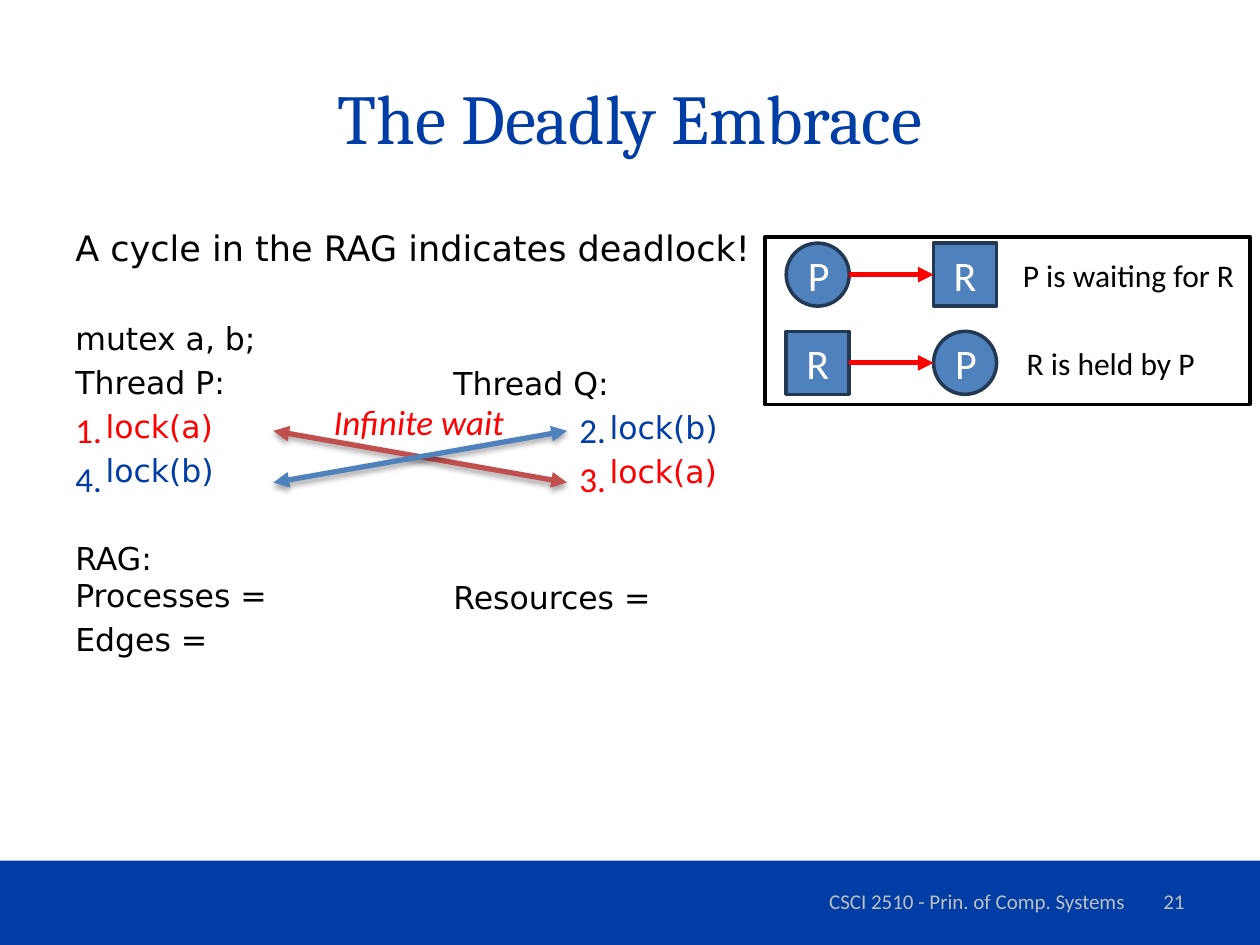
from lxml.etree import SubElement
from pptx import Presentation
from pptx.dml.color import RGBColor
from pptx.enum.shapes import MSO_CONNECTOR as Link, MSO_SHAPE as Preset
from pptx.enum.text import MSO_ANCHOR as Anchor, MSO_AUTO_SIZE as Fit, PP_ALIGN as Align
from pptx.oxml.ns import qn
from pptx.util import Inches, Pt

NAVY = RGBColor(0x00, 0x3D, 0xA5)
RED = RGBColor(0xFF, 0x00, 0x00)
BLACK = RGBColor(0x00, 0x00, 0x00)
WHITE = RGBColor(0xFF, 0xFF, 0xFF)
SILVER = RGBColor(0xBF, 0xBF, 0xBF)
STEEL = RGBColor(0x4F, 0x81, 0xBD)
STEEL_DARK = RGBColor(0x23, 0x39, 0x53)
BRICK = RGBColor(0xC0, 0x50, 0x4D)

CELL = Inches(0.1)
COLUMNS, ROWS = 100, 75
LINE_HEIGHT, LINE_GAP, BLOCK_GAP = 21.7, 3.5, 28.7


def grid(*cells):
    """Turn columns and rows of the slide grid into lengths."""
    return [round(cell * CELL) for cell in cells]


def add_span(para, text, font, size, color, italic=False):
    """Add one formatted run to a paragraph."""
    span = para.add_run()
    span.text = text
    span.font.name, span.font.size = font, Pt(size)
    span.font.color.rgb = color
    span.font.italic = italic


def add_box(shapes, area, wrap=True, anchor=Anchor.TOP):
    """Add an empty text box and return its text frame."""
    frame = shapes.add_textbox(*grid(*area)).text_frame
    frame.word_wrap = wrap
    frame.auto_size = Fit.NONE if wrap else Fit.SHAPE_TO_FIT_TEXT
    frame.vertical_anchor = anchor
    return frame


def add_label(shapes, area, text, size, color, font="Calibri", align=Align.LEFT, wrap=False, italic=False):
    """Add a one-line label, centred vertically if it wraps."""
    frame = add_box(shapes, area, wrap, Anchor.MIDDLE if wrap else Anchor.TOP)
    para = frame.paragraphs[0]
    para.alignment = align
    add_span(para, text, font, size, color, italic)


def add_block(shapes, preset, area, fill, line=None, text=""):
    """Add a filled preset shape with an optional outline and letter."""
    block = shapes.add_shape(preset, *grid(*area))
    block.shadow.inherit = False
    block.fill.solid()
    block.fill.fore_color.rgb = fill
    if line is None:
        block.line.fill.background()
    else:
        block.line.color.rgb, block.line.width = line, Pt(2)
    if text:
        block.text_frame.vertical_anchor = Anchor.MIDDLE
        para = block.text_frame.paragraphs[0]
        para.alignment = Align.CENTER
        add_span(para, text, "Calibri", 24, WHITE)


def add_arrow(shapes, start, end, color, double=False):
    """Add an arrow; a double one has two heads and a soft shadow."""
    arrow = shapes.add_connector(Link.STRAIGHT, *grid(*start, *end))
    arrow.line.color.rgb, arrow.line.width = color, Pt(3)
    outline = arrow.line._get_or_add_ln()
    for head in ("a:headEnd", "a:tailEnd") if double else ("a:tailEnd",):
        SubElement(outline, qn(head), type="triangle")
    effects = SubElement(arrow._element.spPr, qn("a:effectLst"))
    if double:
        shadow = SubElement(effects, qn("a:outerShdw"), blurRad=str(Pt(3.1)), dist=str(Pt(1.8)),
                            dir="5400000", rotWithShape="0")
        tint = SubElement(shadow, qn("a:srgbClr"), val="000000")
        SubElement(tint, qn("a:alpha"), val="35000")


def add_lines(page, area, lines):
    """Add a text column from (gap, indent, size, color, text) lines."""
    frame = add_box(page.shapes, area)
    for number, (gap, indent, size, color, text) in enumerate(lines):
        para = frame.add_paragraph() if number else frame.paragraphs[0]
        properties = para._p.get_or_add_pPr()
        properties.set("marL", str(*grid(indent)))
        properties.set("indent", "0")
        para.space_before = Pt(gap)
        for part, words in enumerate(text.split("\n")):
            if part:
                para.add_line_break()
            add_span(para, words, "DejaVu Sans", size, color)


def add_body(page):
    """Add both threads' code and the graph's parts in two columns."""
    add_lines(page, (5, 17.5, 90, 49.5), [
        (0, 0, 20, BLACK, "A cycle in the RAG indicates deadlock!"),
        (BLOCK_GAP, 0, 18, BLACK, "mutex a, b;"),
        (LINE_GAP, 0, 18, BLACK, "Thread P:"),
        (LINE_GAP, 2.4, 18, RED, "lock(a)"),
        (LINE_GAP, 2.4, 18, NAVY, "lock(b)"),
        (BLOCK_GAP, 0, 18, BLACK, "RAG:\nProcesses ="),
        (LINE_GAP, 0, 18, BLACK, "Edges ="),
    ])
    add_lines(page, (35, 28.4, 25, 21), [
        (0, 0, 18, BLACK, "Thread Q:"),
        (LINE_GAP, 12.4, 18, NAVY, "lock(b)"),
        (LINE_GAP, 12.4, 18, RED, "lock(a)"),
        (BLOCK_GAP + LINE_HEIGHT, 0, 18, BLACK, "Resources ="),
    ])


def add_steps(page, left, steps):
    """Add a column of step numbers beside one thread's code."""
    frame = add_box(page.shapes, (left, 31.4, 4.1, 8.6), wrap=False)
    for number, (text, color) in enumerate(steps):
        para = frame.add_paragraph() if number else frame.paragraphs[0]
        para.line_spacing = Pt(28)
        add_span(para, text, "Calibri", 20, color)


def add_legend(page):
    """Add the framed key to the two kinds of edge."""
    shapes = page.shapes.add_group_shape().shapes
    add_block(shapes, Preset.RECTANGLE, (60.7, 18.8, 38.5, 13.3), WHITE, BLACK)
    outlines = {"P": Preset.OVAL, "R": Preset.RECTANGLE}
    lefts, side = (62.4, 74.1), 5
    entries = [("PR", "P is waiting for R", 80.2, 19), ("RP", "R is held by P", 80.5, 15.5)]
    for row, (letters, meaning, left, width) in enumerate(entries):
        top = 19.3 + 7 * row
        middle = top + side / 2
        for letter, column in zip(letters, lefts):
            add_block(shapes, outlines[letter], (column, top, side, side), STEEL, STEEL_DARK, letter)
        add_arrow(shapes, (lefts[0] + side, middle), (lefts[1], middle), RED)
        add_label(shapes, (left, top + 0.5, width, 4), meaning, 18, BLACK)


def main():
    """Build the deadlock slide and save it."""
    deck = Presentation()
    deck.slide_width, deck.slide_height = grid(COLUMNS, ROWS)
    page = deck.slides.add_slide(deck.slide_layouts[6])
    shapes = page.shapes
    add_block(shapes, Preset.RECTANGLE, (0, 68.3, COLUMNS, 6.7), NAVY)
    add_label(shapes, (5, 3, 90, 12.5), "The Deadly Embrace", 40, NAVY, "Cambria", Align.CENTER, wrap=True)
    add_body(page)
    add_label(shapes, (61.7, 69.5, 31.7, 4), "CSCI 2510 - Prin. of Comp. Systems", 12, SILVER,
              align=Align.CENTER, wrap=True)
    add_label(shapes, (71.7, 69.5, 23.3, 4), "21", 12, SILVER, align=Align.RIGHT, wrap=True)
    upper, lower = 34.2, 38.3
    for color, start, end in ((BRICK, upper, lower), (STEEL, lower, upper)):
        add_arrow(shapes, (21.7, start), (45, end), color, double=True)
    add_label(shapes, (25.5, 31.3, 15.7, 4.4), "Infinite wait", 20, RED, italic=True)
    add_steps(page, 5, [("1.", RED), ("4.", NAVY)])
    add_steps(page, 45, [("2.", NAVY), ("3.", RED)])
    add_legend(page)
    deck.save("out.pptx")


if __name__ == "__main__":
    main()
